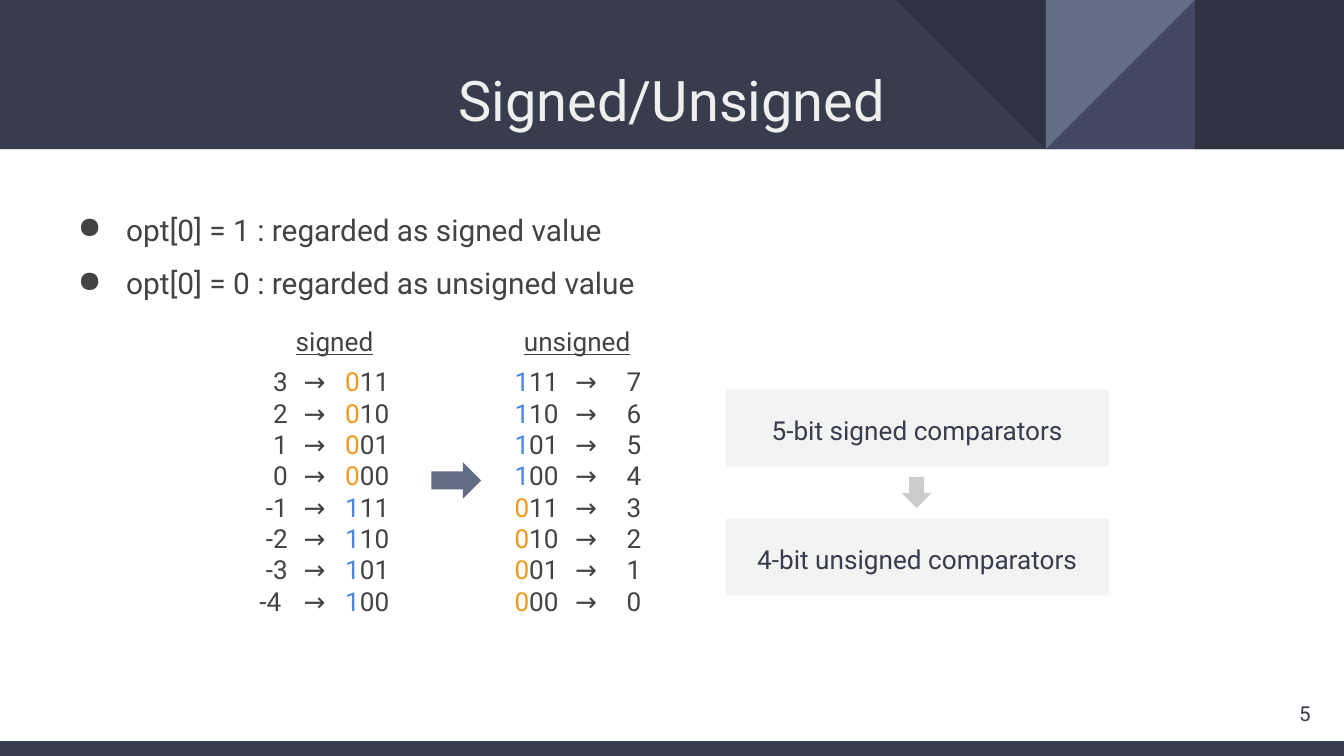
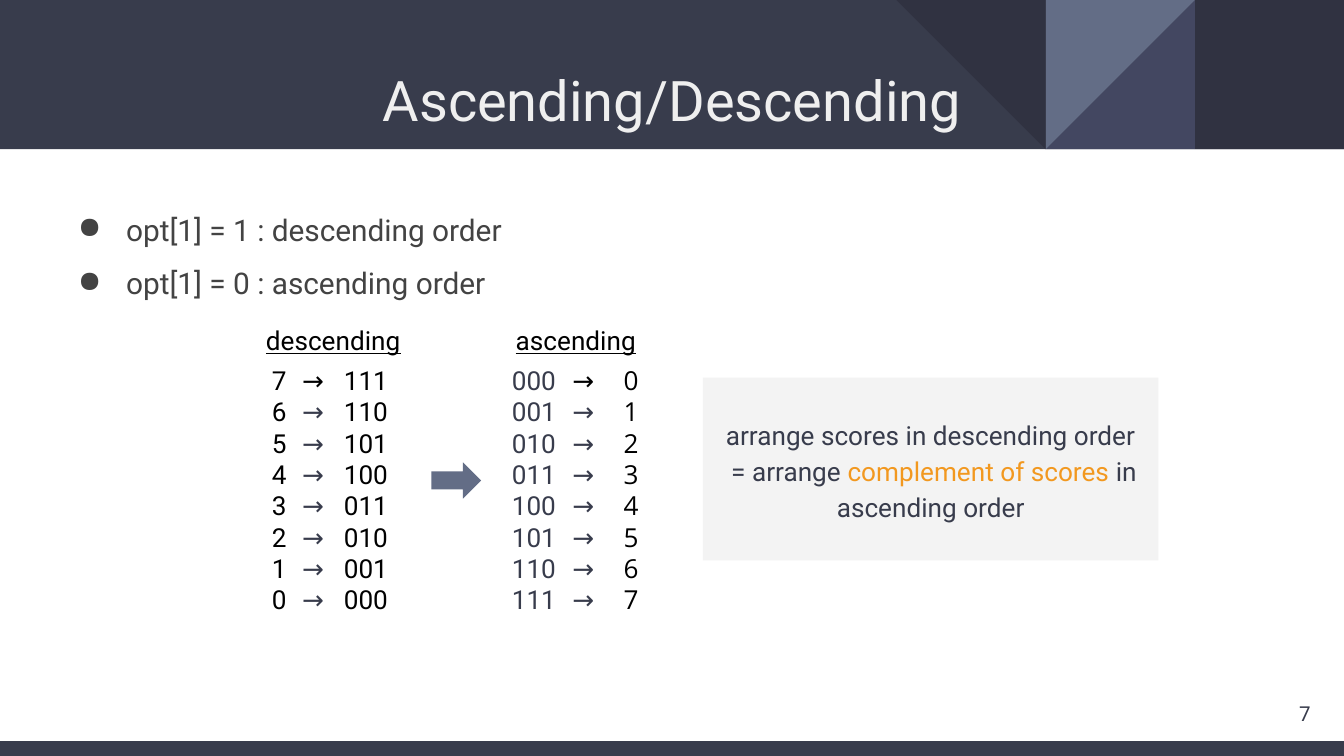
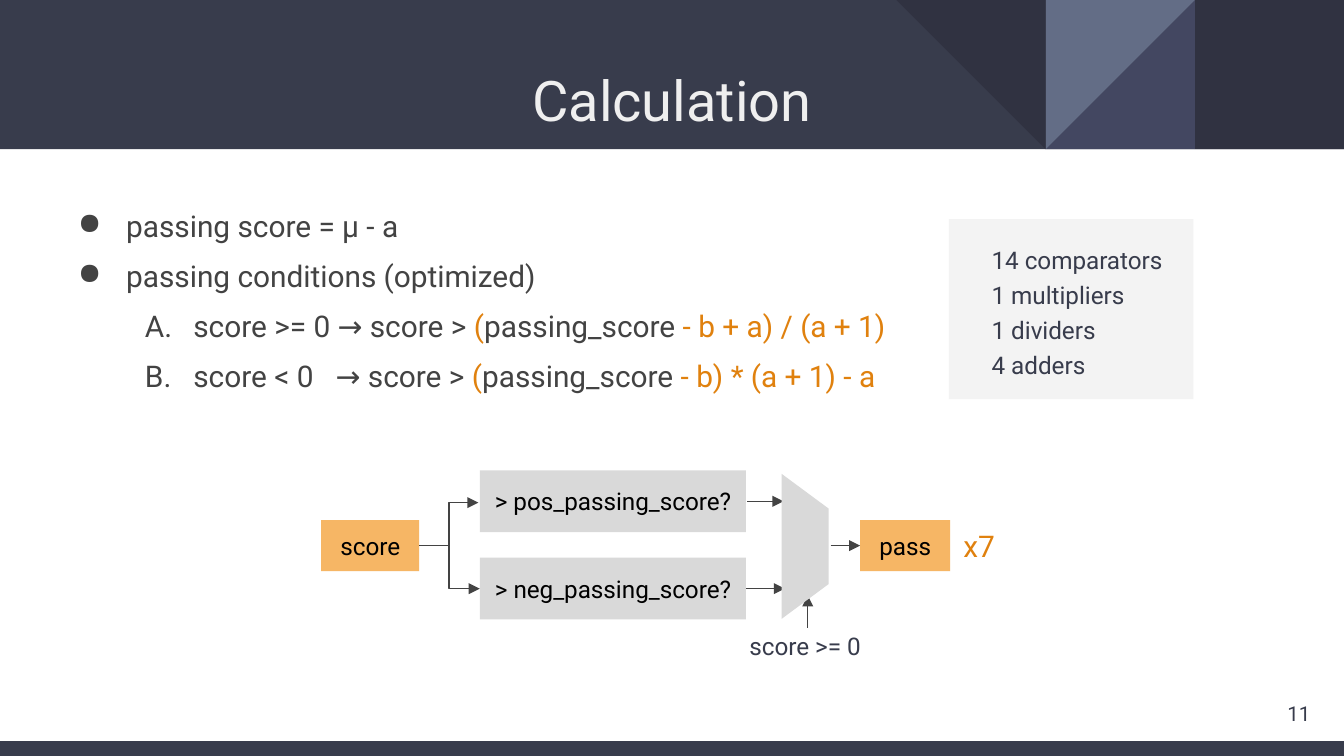
import pptx
import pptx.util
import pptx.dml.color
import pptx.enum.shapes
import pptx.enum.text
import lxml.etree

RGBColor = pptx.dml.color.RGBColor
SHAPE = pptx.enum.shapes.MSO_SHAPE
ALIGN = pptx.enum.text.PP_ALIGN
ANCHOR = pptx.enum.text.MSO_ANCHOR

NAVY = RGBColor(0x38, 0x3C, 0x4C)
DARK = RGBColor(0x30, 0x32, 0x41)
VIOLET = RGBColor(0x43, 0x47, 0x61)
SLATE = RGBColor(0x63, 0x6D, 0x86)
GRAPHITE = RGBColor(0x43, 0x43, 0x43)
BLACK = RGBColor(0x00, 0x00, 0x00)
TITLE_WHITE = RGBColor(0xEF, 0xEF, 0xEF)
PANEL = RGBColor(0xF3, 0xF3, 0xF3)
SILVER = RGBColor(0xCC, 0xCC, 0xCC)
STEP_GRAY = RGBColor(0xD9, 0xD9, 0xD9)
ORANGE = RGBColor(0xF2, 0x98, 0x1F)
BURNT = RGBColor(0xE0, 0x81, 0x0E)
PEACH = RGBColor(0xF6, 0xB6, 0x65)
BLUE = RGBColor(0x4A, 0x86, 0xE8)

# Grid: 100 columns across, square cells
deck = pptx.Presentation()
deck.slide_width = pptx.util.Inches(10)
deck.slide_height = pptx.util.Inches(5.625)
CELL = deck.slide_width / 100
COLUMNS, ROWS = 100, 56.25
BAND = 11.1
FOOTER = 1.1


def add_box(page, area, preset=None, fill=None):
    """Place a text box, or a flat preset shape, at grid cells."""
    place = [round(cells * CELL) for cells in area]
    if preset is None:
        return page.shapes.add_textbox(*place)
    box = page.shapes.add_shape(preset, *place)
    box.shadow.inherit = False
    box.line.fill.background()
    if fill is None:
        box.fill.background()
    else:
        box.fill.solid()
        box.fill.fore_color.rgb = fill
    return box


def write(box, lines, size, color, align=ALIGN.LEFT, spacing=None,
          anchor=ANCHOR.TOP, font="Roboto"):
    """Fill a box; a line is a string or a list of (text, colour) spans."""
    frame = box.text_frame
    frame.word_wrap = True
    frame.vertical_anchor = anchor
    frame.margin_left = frame.margin_right = round(CELL)
    frame.margin_top = frame.margin_bottom = round(CELL)
    for index, line in enumerate(lines):
        para = frame.add_paragraph() if index else frame.paragraphs[0]
        para.alignment = align
        if spacing:
            para.line_spacing = spacing
        spans = [(line, color)] if isinstance(line, str) else line
        for text, span_color in spans:
            span = para.add_run()
            span.text = text
            span.font.name = font
            span.font.size = pptx.util.Pt(size)
            span.font.color.rgb = span_color
    return frame.paragraphs


# Content shared in form by all slides
slides = [
    ("Signed/Unsigned", "5", 1.5, [
        "opt[0] = 1 : regarded as signed value",
        "opt[0] = 0 : regarded as unsigned value"]),
    ("Ascending/Descending", "7", 1.5, [
        "opt[1] = 1 : descending order",
        "opt[1] = 0 : ascending order"]),
    ("Calculation", "11", 1.4, [
        "passing score = μ - a",
        "passing conditions (optimized)",
        [("score >= 0 → score > ", GRAPHITE), ("(", BURNT),
         ("passing_score ", GRAPHITE), ("- b + a) / (a + 1)", BURNT)],
        [("score < 0", GRAPHITE), (" ", GRAPHITE), ("→ score > ", GRAPHITE),
         ("(", BURNT), ("passing_score ", GRAPHITE),
         ("- b) * (a + 1) - a", BURNT)]]),
]
triangles = [(2, 270, VIOLET), (2, 90, SLATE), (3, 180, DARK)]
pages = []
for title, number, spacing, points in slides:
    page = deck.slides.add_slide(deck.slide_layouts[6])
    pages.append(page)

    # Header band with its corner pattern, footer strip
    add_box(page, (0, 0, COLUMNS, BAND), SHAPE.RECTANGLE, NAVY)
    add_box(page, (COLUMNS - BAND, 0, BAND, BAND), SHAPE.RECTANGLE, DARK)
    for steps, turn, fill in triangles:
        corner = add_box(page, (COLUMNS - steps * BAND, 0, BAND, BAND),
                         SHAPE.RIGHT_TRIANGLE, fill)
        corner.rotation = turn
    add_box(page, (0, ROWS - FOOTER, COLUMNS, FOOTER), SHAPE.RECTANGLE, NAVY)

    # Title and page number
    write(add_box(page, (3.4, 3.6, 93.2, 7.6)), [title], 30, TITLE_WHITE,
          ALIGN.CENTER, anchor=ANCHOR.MIDDLE)
    write(add_box(page, (92.5, 50.9, 6, 4.3)), [number], 11, NAVY,
          ALIGN.RIGHT, anchor=ANCHOR.MIDDLE)

    # Bulleted points, lettered on the second level
    body = add_box(page, (3.4, 13.4, 93.2, 4.6 * len(points)))
    for para, point in zip(write(body, points, 16, GRAPHITE, spacing=spacing),
                           points):
        nested = not isinstance(point, str)
        para.level = int(nested)
        props = para._p.get_or_add_pPr()
        props.set("marL", str(round((10 if nested else 5) * CELL)))
        props.set("indent", str(round(-3.6 * CELL)))
        tint = pptx.oxml.ns.qn("a:buClr")
        tint = lxml.etree.SubElement(props, tint)
        lxml.etree.SubElement(tint, pptx.oxml.ns.qn("a:srgbClr"),
                              val=str(GRAPHITE))
        if nested:
            lxml.etree.SubElement(props, pptx.oxml.ns.qn("a:buAutoNum"),
                                  type="alphaUcPeriod")
        else:
            lxml.etree.SubElement(props, pptx.oxml.ns.qn("a:buChar"), char="●")

signed_page, order_page, calculation_page = pages

# Bit patterns for both mappings
rising = [format(n, "03b") for n in range(8)]
falling = rising[::-1]
signed = [format(n & 7, "03b") for n in range(3, -5, -1)]
marked_signed, marked_unsigned = [
    [[(bits[0], BLUE if bits[0] == "1" else ORANGE), (bits[1:], GRAPHITE)]
     for bits in column] for column in (signed, falling)]
up = [str(n) for n in range(8)]
down = up[::-1]
signed_values = ["3", "2", "1", "0", "-1", "-2", "-3", "-4 "]
arrows = ["→"] * 8
order_arrows = [[("→", BLACK)]] + [[("→", NAVY)]] * 7

# Mapping columns: values, arrows and bits on each side of a block arrow
mappings = [
    (signed_page, 0, GRAPHITE, GRAPHITE, "Roboto", ("signed", "unsigned"),
     (signed_values, arrows, marked_signed, marked_unsigned, arrows, down)),
    (order_page, 0.1, BLACK, NAVY, "Open Sans", ("descending", "ascending"),
     (down, order_arrows, falling, rising, order_arrows, up)),
]
lefts = [17.6, 21.6, 24.7, 37.3, 41.8, 43.9]
widths = [4.8, 4.8, 7.5, 7.5, 4.8, 4.8]
for page, shift, color, bit_color, last_font, headings, columns in mappings:
    for heading, left, width in zip(headings, (18.1, 37.1), (13.6, 11.7)):
        box = add_box(page, (left - shift, 22.9 - shift, width, 4.4))
        para = write(box, [heading], 14, color, ALIGN.CENTER, 1.15)[0]
        para.runs[0].font.underline = True
    for index, lines in enumerate(columns):
        side_shift = shift * (1 if index < 3 else 2)
        box = add_box(page, (lefts[index] - side_shift, 26.2 - shift,
                             widths[index], 20.9))
        write(box, lines, 14, bit_color if index == 3 else color,
              ALIGN.RIGHT if index in (0, 5) else ALIGN.LEFT,
              font=last_font if index == 5 else "Roboto")
    add_box(page, (32.1, 34.4, 3.7, 2.7), SHAPE.RIGHT_ARROW, SLATE)

# Conclusion panels
for top, text in ((29, "5-bit signed comparators"),
                  (38.6, "4-bit unsigned comparators")):
    panel = add_box(signed_page, (54, top, 28.5, 5.7), SHAPE.RECTANGLE, PANEL)
    write(panel, [text], 14, NAVY, ALIGN.CENTER, 1.15, ANCHOR.MIDDLE)
add_box(signed_page, (67.1, 35.5, 2.2, 2.3), SHAPE.DOWN_ARROW, SILVER)

panel = add_box(order_page, (52.3, 28.1, 33.9, 13.6), SHAPE.RECTANGLE, PANEL)
write(panel, ["arrange scores in descending order",
              [(" = arrange ", NAVY), ("complement of scores ", ORANGE),
               ("in ascending order", NAVY)]],
      14, NAVY, ALIGN.CENTER, 1.15, ANCHOR.MIDDLE)

# Calculation: widen the gap that lines up the two condition arrows
gap = body.text_frame.paragraphs[3].runs[1]
gap._r.get_or_add_rPr().set("spc", "790")

# Hardware count
panel = add_box(calculation_page, (70.6, 16.3, 18.2, 13.4),
                SHAPE.RECTANGLE, PANEL)
for para in write(panel, ["14 comparators", "1 multipliers", "1 dividers",
                          "4 adders"], 13, NAVY, spacing=1.2,
                  anchor=ANCHOR.MIDDLE):
    props = para._p.get_or_add_pPr()
    props.set("marL", str(round(2.2 * CELL)))
    props.set("indent", "0")

# Flow boxes
for text, area, fill in (
        ("score", (23.9, 38.7, 7.3, 3.8), PEACH),
        ("> pos_passing_score?", (35.7, 35, 19.8, 4.6), STEP_GRAY),
        ("> neg_passing_score?", (35.7, 41.5, 19.8, 4.6), STEP_GRAY),
        ("pass", (64, 38.7, 6.7, 3.8), PEACH)):
    step = add_box(calculation_page, area, SHAPE.RECTANGLE, fill)
    write(step, [text], 13, BLACK, ALIGN.CENTER, anchor=ANCHOR.MIDDLE)

# Flow lines
fork = add_box(calculation_page, (33.4, 37.4, 2, 6.4), SHAPE.LEFT_BRACKET)
fork.adjustments[0] = 0
fork.line.color.rgb = GRAPHITE
fork.line.width = pptx.util.Pt(0.75)
for start_x, start_y, end_x, end_y, pointed in (
        (31.2, 40.6, 33.4, 40.6, False),
        (33.7, 37.4, 35.6, 37.4, True),
        (33.7, 43.8, 35.7, 43.8, True),
        (55.6, 37.3, 58.3, 37.3, True),
        (55.5, 43.8, 58.4, 43.8, True),
        (61.8, 40.6, 64, 40.6, True),
        (60.1, 46.7, 60.1, 44.3, True)):
    ends = [round(cells * CELL) for cells in (start_x, start_y, end_x, end_y)]
    wire = calculation_page.shapes.add_connector(
        pptx.enum.shapes.MSO_CONNECTOR.STRAIGHT, *ends)
    wire.line.color.rgb = GRAPHITE
    wire.line.width = pptx.util.Pt(0.75)
    if pointed:
        lxml.etree.SubElement(wire.line._get_or_add_ln(),
                              pptx.oxml.ns.qn("a:tailEnd"), type="triangle")
    lxml.etree.SubElement(wire._element.spPr, pptx.oxml.ns.qn("a:effectLst"))

# Selector and its labels
selector = add_box(calculation_page, (54.5, 38.9, 10.8, 3.5),
                   SHAPE.TRAPEZOID, STEP_GRAY)
selector.rotation = 90
selector.adjustments[0] = 0.74
write(add_box(calculation_page, (53.3, 46, 13.2, 4.2)), ["score >= 0"],
      13, NAVY, ALIGN.CENTER)
write(add_box(calculation_page, (70.7, 38.3, 5.4, 4.7)), ["x7"], 16, BURNT)

deck.save("out.pptx")
